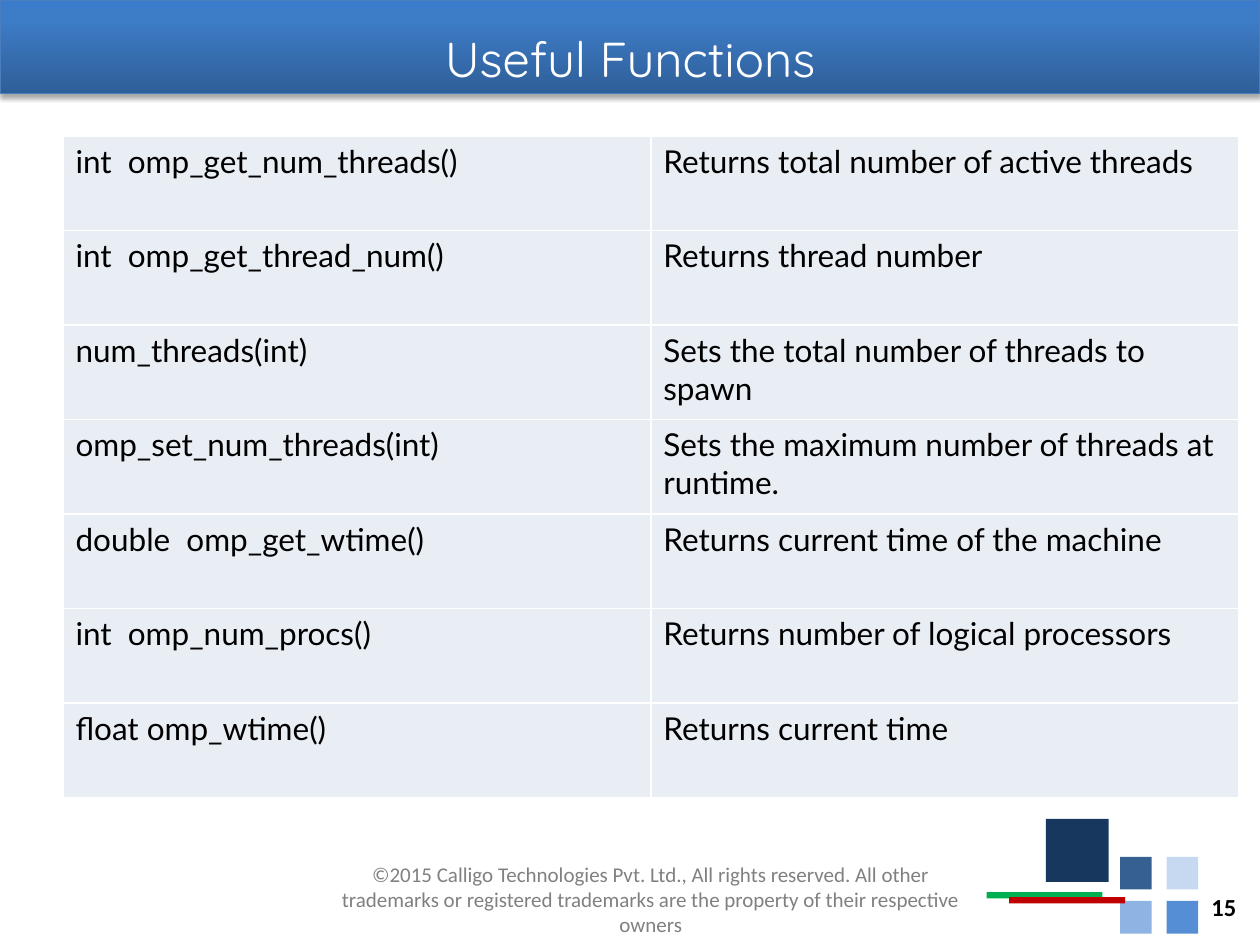
from dataclasses import dataclass
from itertools import product

from lxml import etree
from pptx import Presentation
from pptx import util as u
from pptx.dml.color import RGBColor
from pptx.enum import shapes, text
from pptx.oxml import parse_xml
from pptx.oxml.ns import nsdecls, qn


@dataclass(frozen=True)
class Theme:
    heading_font: str = "Quicksand"
    table_font: str = "Lato"
    small_font: str = "Calibri"
    heading_size: int = 28
    table_size: int = 18
    number_size: int = 14
    footer_size: int = 12
    white: str = "FFFFFF"
    black: str = "000000"
    grey: str = "808080"
    cell: str = "E9EDF4"
    title_line: str = "4B7EBC"
    title_stops: tuple = ((0, "2F5F99"), (80, "3D7CC7"), (100, "3A7CCB"))


@dataclass(frozen=True)
class Block:
    left: float
    top: float
    width: float
    height: float
    color: str


@dataclass(frozen=True)
class Style:
    font: str
    size: int
    color: str
    align: text.PP_ALIGN = text.PP_ALIGN.LEFT
    bold: bool = False


THEME = Theme()
FUNCTIONS = [
    ("int  omp_get_num_threads()", "Returns total number of active threads"),
    ("int  omp_get_thread_num()", "Returns thread number"),
    ("num_threads(int)", "Sets the total number of threads to spawn"),
    ("omp_set_num_threads(int)", "Sets the maximum number of threads at runtime."),
    ("double  omp_get_wtime()", "Returns current time of the machine"),
    ("int  omp_num_procs()", "Returns number of logical processors"),
    ("float omp_wtime()", "Returns current time"),
]
TILE_COLORS = ["376092", "C6D9F1", "8EB4E3", "558ED5"]
BLOCKS = [
    Block(8.3, 6.5, 0.5, 0.5, "17375E"),
    *(Block(left, top, 0.25, 0.26, color)
      for (top, left), color in zip(product((6.8, 7.15), (8.89, 9.26)), TILE_COLORS)),
    Block(7.83, 7.08, 0.92, 0.05, "00B050"),
    Block(8.01, 7.12, 0.92, 0.05, "C00000"),
]


def write(frame, words: str, style: Style) -> None:
    para = frame.paragraphs[0]
    para.alignment = style.align
    span = para.add_run()
    span.text = words
    span.font.name = style.font
    span.font.size = u.Pt(style.size)
    span.font.bold = style.bold
    span.font.color.rgb = RGBColor.from_string(style.color)


def add_block(page, block: Block):
    box = page.shapes.add_shape(
        shapes.MSO_SHAPE.RECTANGLE, u.Inches(block.left), u.Inches(block.top),
        u.Inches(block.width), u.Inches(block.height))
    box.shadow.inherit = False
    box.fill.solid()
    box.fill.fore_color.rgb = RGBColor.from_string(block.color)
    box.line.fill.background()
    return box


def add_label(page, left: float, top: float, width: float, height: float,
              words: str, style: Style) -> None:
    box = page.shapes.add_textbox(
        u.Inches(left), u.Inches(top), u.Inches(width), u.Inches(height))
    box.text_frame.word_wrap = True
    box.text_frame.vertical_anchor = text.MSO_ANCHOR.MIDDLE
    write(box.text_frame, words, style)


def add_title(page, words: str) -> None:
    bar = add_block(page, Block(0, 0, 10, 0.74, THEME.title_line))
    bar.line.color.rgb = RGBColor.from_string(THEME.title_line)
    bar.line.width = u.Pt(0.75)

    # Three-stop gradient running upwards
    bar.fill.gradient()
    bar.fill.gradient_angle = 90
    stops = bar.element.spPr.find(f".//{qn('a:gsLst')}")
    for stop in list(stops):
        stops.remove(stop)
    for position, color in THEME.title_stops:
        stop = etree.SubElement(stops, qn("a:gs"), pos=str(position * 1000))
        etree.SubElement(stop, qn("a:srgbClr"), val=color)

    # Soft shadow below the bar
    bar.element.spPr.find(qn("a:effectLst")).append(parse_xml(
        f'<a:outerShdw {nsdecls("a")} blurRad="{u.Pt(3.1)}" dist="{u.Pt(1.8)}" '
        f'dir="5400000" rotWithShape="0"><a:srgbClr val="{THEME.black}">'
        '<a:alpha val="35000"/></a:srgbClr></a:outerShdw>'))

    bar.text_frame.word_wrap = True
    bar.text_frame.vertical_anchor = text.MSO_ANCHOR.BOTTOM
    write(bar.text_frame, words, Style(THEME.heading_font, THEME.heading_size,
                                       THEME.white, text.PP_ALIGN.CENTER))


def add_borders(cell) -> None:
    properties = cell._tc.get_or_add_tcPr()
    for index, side in enumerate(("lnL", "lnR", "lnT", "lnB")):
        properties.insert(index, parse_xml(
            f'<a:{side} {nsdecls("a")} w="{u.Pt(1)}"><a:solidFill>'
            f'<a:srgbClr val="{THEME.white}"/></a:solidFill></a:{side}>'))


def add_function_table(page, entries: list[tuple[str, str]]) -> None:
    table = page.shapes.add_table(
        len(entries), 2, u.Inches(0.5), u.Inches(1.08),
        u.Inches(9.33), u.Inches(0.75 * len(entries))).table
    table.first_row = False
    table.horz_banding = False
    style = Style(THEME.table_font, THEME.table_size, THEME.black)
    for row, entry in enumerate(entries):
        for column, words in enumerate(entry):
            cell = table.cell(row, column)
            cell.fill.solid()
            cell.fill.fore_color.rgb = RGBColor.from_string(THEME.cell)
            add_borders(cell)
            write(cell.text_frame, words, style)


def main() -> None:
    deck = Presentation()
    deck.slide_width, deck.slide_height = u.Inches(10), u.Inches(7.5)
    page = deck.slides.add_slide(deck.slide_layouts[6])

    # Footer and corner decoration
    add_label(page, 2.5, 6.75, 5.33, 0.77,
              "©2015 Calligo Technologies Pvt. Ltd., All rights reserved. All other "
              "trademarks or registered trademarks are the property of their "
              "respective owners",
              Style(THEME.small_font, THEME.footer_size, THEME.grey,
                    text.PP_ALIGN.CENTER))
    for block in BLOCKS:
        add_block(page, block)

    # Title, table and page number
    add_title(page, "Useful Functions")
    add_function_table(page, FUNCTIONS)
    add_label(page, 7.58, 7, 2.33, 0.4, "15",
              Style(THEME.small_font, THEME.number_size, THEME.black,
                    text.PP_ALIGN.RIGHT, bold=True))

    deck.save("out.pptx")


if __name__ == "__main__":
    main()
